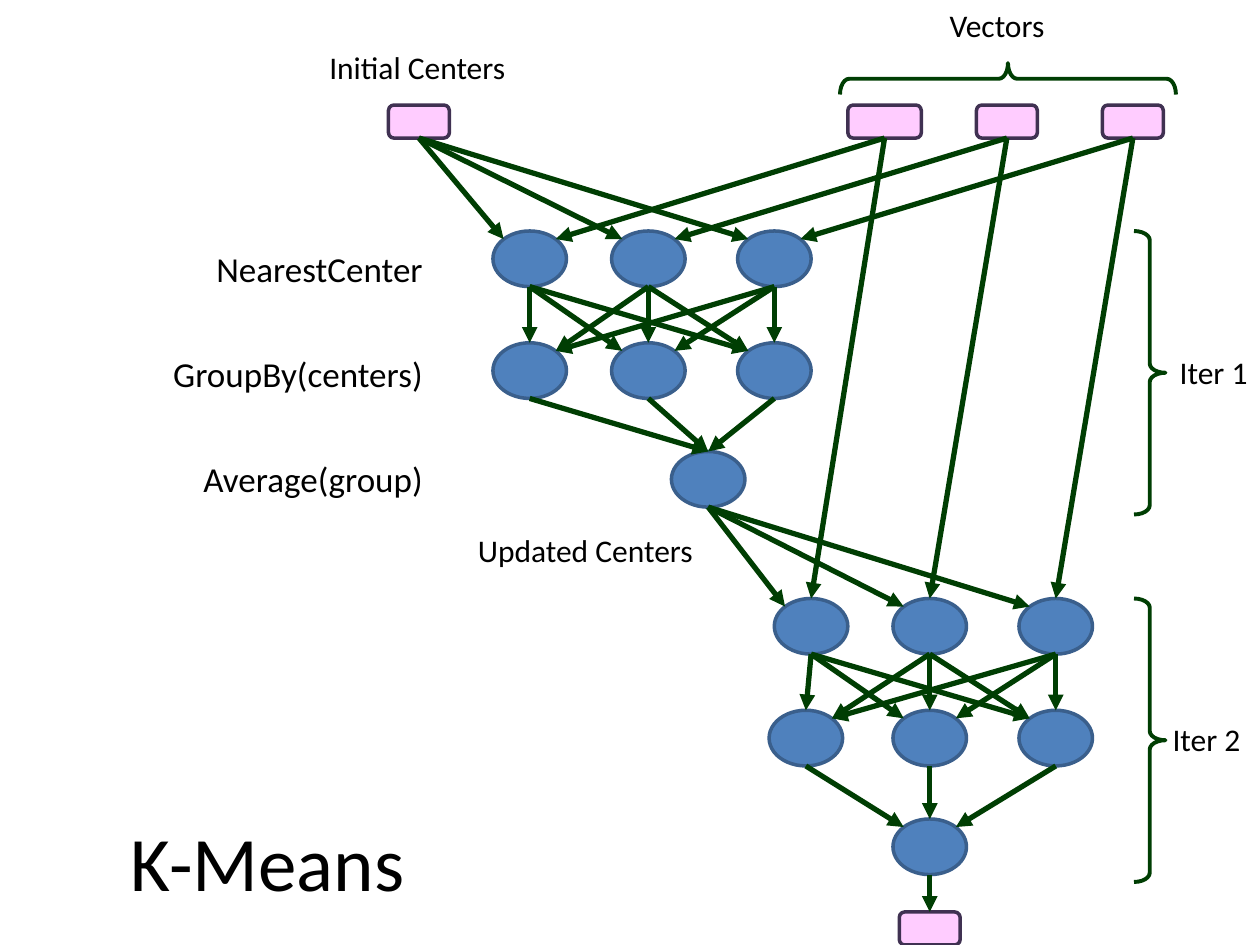
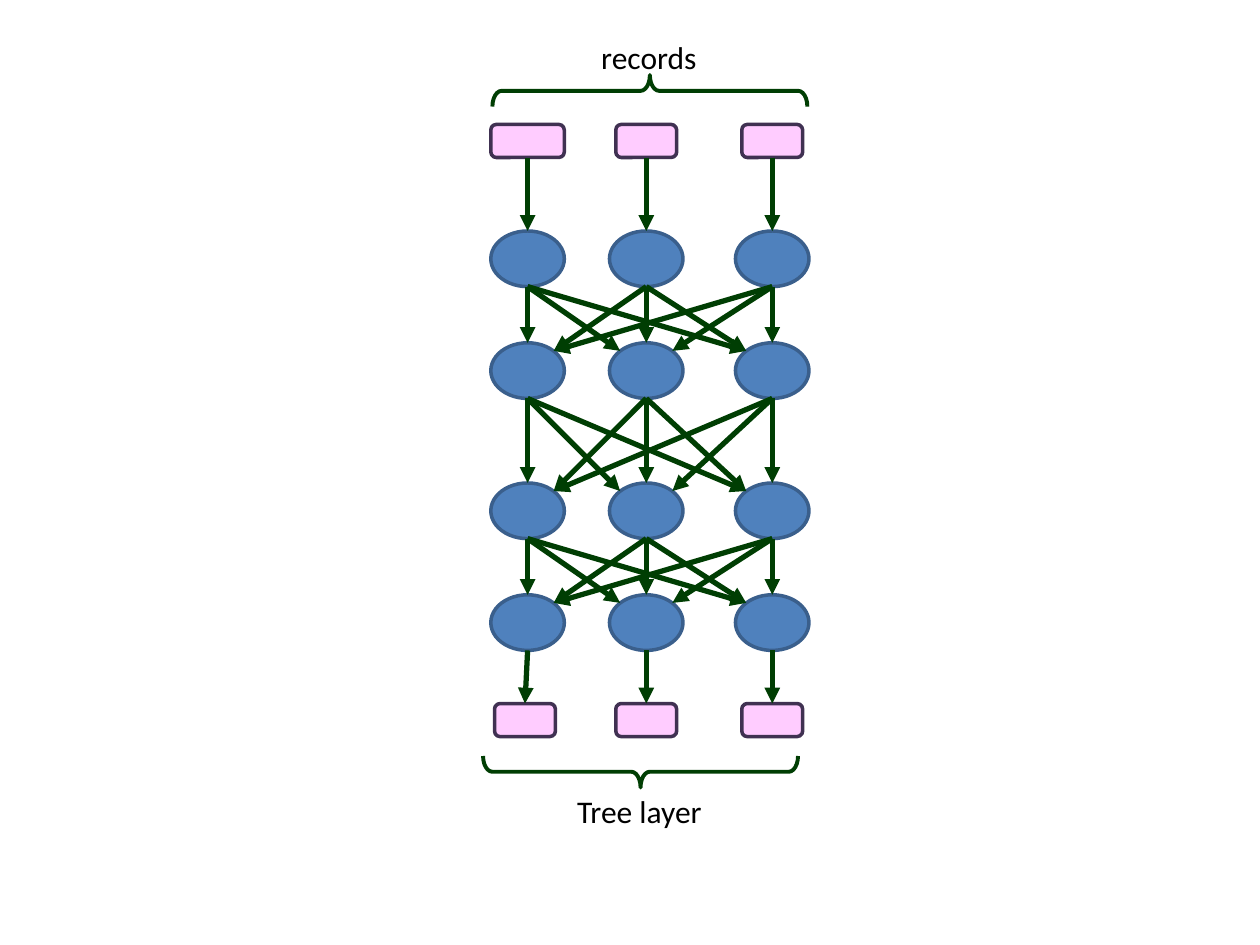
import itertools

import pptx
import pptx.dml.color
import pptx.enum.shapes
import pptx.enum.text
import pptx.oxml
import pptx.oxml.ns
import pptx.util

RGB = pptx.dml.color.RGBColor
KIND = pptx.enum.shapes.MSO_SHAPE
ALIGN = pptx.enum.text.PP_ALIGN

BLUE = RGB(0x4F, 0x81, 0xBD)
NAVY = RGB(0x3A, 0x5F, 0x8C)
PINK = RGB(0xFF, 0xCC, 0xFF)
PLUM = RGB(0x40, 0x31, 0x52)
GREEN = RGB(0x00, 0x3E, 0x03)
BLACK = RGB(0, 0, 0)
FONT = "Calibri"

# The slide is a grid of 120 columns by 90 rows; all lengths are in its cells.
CELL = pptx.util.Inches(10) // 120
NODE_W, NODE_H = 7, 5.3
FILE_W, FILE_H = 5.8, 3.15
STEPS = (0, 11.3, 23.3)
PITCH = 10.65
DIAG = 0.71


def cells(*sizes):
    return [round(size * CELL) for size in sizes]


def block(slide, kind, box, fill, line, width=2):
    shape = slide.shapes.add_shape(kind, *cells(*box))
    shape.shadow.inherit = False
    if fill is None:
        shape.fill.background()
    else:
        shape.fill.solid()
        shape.fill.fore_color.rgb = fill
    shape.line.color.rgb = line
    shape.line.width = pptx.util.Pt(width)
    return shape


def node(slide, mid, top):
    box = (mid - NODE_W / 2, top, NODE_W, NODE_H)
    return block(slide, KIND.OVAL, box, BLUE, NAVY)


def file(slide, mid, top, width=FILE_W):
    box = (mid - width / 2, top, width, FILE_H)
    return block(slide, KIND.ROUNDED_RECTANGLE, box, PINK, PLUM)


def layer(slide, left, top):
    """Draw a row of three nodes and return them."""
    return [node(slide, left + step, top) for step in STEPS]


def brace(slide, box, turn=0):
    """Fill the box with a brace whose tip points right before the turn."""
    left, top, width, height = box
    if turn:
        left, top = left + (width - height) / 2, top + (height - width) / 2
        width, height = height, width
    shape = block(slide, KIND.RIGHT_BRACE, (left, top, width, height),
                  None, GREEN, 2.25)
    shape.adjustments[0] = 0.292
    shape.rotation = turn


def arrow(slide, start, end, crown=False):
    """Link the foot of start to the top of end, or to its nearer shoulder."""
    x1, y1 = start.left + start.width // 2, start.top + start.height
    x2, y2 = end.left + end.width // 2, end.top
    if not crown and abs(x2 - x1) > 8 * CELL:
        side = 1 if x1 > x2 else -1
        x2 += round(side * DIAG * end.width / 2)
        y2 += round((1 - DIAG) * end.height / 2)
    line = slide.shapes.add_connector(
        pptx.enum.shapes.MSO_CONNECTOR.STRAIGHT, x1, y1, x2, y2)
    line.line.color.rgb = GREEN
    line.line.width = pptx.util.Pt(3)
    tail = pptx.oxml.ns.qn("a:tailEnd")
    line.line._get_or_add_ln().makeelement(tail)
    pen = line.line._get_or_add_ln()
    pen.append(pen.makeelement(tail, {"type": "triangle"}))
    props = line._element.spPr
    props.append(props.makeelement(pptx.oxml.ns.qn("a:effectLst")))


def pairs(slide, starts, ends):
    for start, end in zip(starts, ends):
        arrow(slide, start, end)


def mesh(slide, starts, ends, crown=False):
    for start, end in itertools.product(starts, ends):
        arrow(slide, start, end, crown)


def label(slide, text, box, size=18, align=ALIGN.CENTER, wrap=False):
    frame = slide.shapes.add_textbox(*cells(*box)).text_frame
    frame.word_wrap = wrap
    frame.text = text
    para = frame.paragraphs[0]
    para.alignment = align
    font = para.runs[0].font
    font.name, font.size = FONT, pptx.util.Pt(size)
    font.color.rgb = BLACK
    return frame


def round_trip(slide, left, top, shift, mean, crown):
    """Draw one iteration; return its first layer and its average node."""
    near = layer(slide, left, top)
    group = [node(slide, left + step + move, top + PITCH)
             for step, move in zip(STEPS, (shift, 0, 0))]
    average = node(slide, left + mean, top + 21)
    mesh(slide, near, group)
    mesh(slide, group, [average], crown)
    brace(slide, (108, top, 3, 27))
    return near, average


def steps(slide, right, top):
    """Name the stages of an iteration, flush right."""
    names = (("NearestCenter", 22.4), ("GroupBy(centers)", 26.4),
             ("Average(group)", 26))
    for i, (name, width) in enumerate(names):
        label(slide, name, (right - width, top + 10 * i, width, 5.3), 20,
              ALIGN.RIGHT)


def means(slide):
    label(slide, "Initial Centers", (30, 4, 19.5, 4.8))
    label(slide, "Vectors", (89.2, 0, 11.5, 4.8))
    brace(slide, (80, 6, 32, 3), 270)

    seed = file(slide, 39.9, 10)
    vectors = [file(slide, mid, 10, width) for mid, width in
               ((84.25, NODE_W), (95.9, FILE_W), (107.9, FILE_W))]
    first, centers = round_trip(slide, 50.45, 22, 0, 17, True)
    second, last = round_trip(slide, 77.25, 57, -0.5, STEPS[1], False)
    result = file(slide, 88.55, 86.85)

    mesh(slide, [seed], first)
    pairs(slide, vectors, first)
    mesh(slide, [centers], second)
    pairs(slide, vectors, second)
    arrow(slide, last, result)

    label(slide, "Iter 1", (111, 33, 9, 4.8), align=ALIGN.RIGHT)
    label(slide, "Iter 2 ", (110.4, 68, 9.6, 4.8), align=ALIGN.RIGHT)
    steps(slide, 41.45, 23)
    label(slide, "Updated Centers", (44.2, 50, 23.1, 4.8))
    title = label(slide, "K-Means", (2, 77, 47, 10), 44, wrap=True)
    title.vertical_anchor = pptx.enum.text.MSO_ANCHOR.MIDDLE


def tree(slide, left=50.25):
    label(slide, "records", (56, 3, 11.6, 4.8))
    brace(slide, (46.9, 7.15, 30, 3), 270)

    records = [file(slide, left + step, 11.85, width) for step, width in
               zip(STEPS, (NODE_W, FILE_W, FILE_W))]
    layers = [layer(slide, left, top + drop)
              for top in (22, 46) for drop in (0, PITCH)]
    leaves = [file(slide, left + step + move, 67)
              for step, move in zip(STEPS, (-0.25, 0, 0))]

    pairs(slide, records, layers[0])
    for upper, lower in zip(layers, layers[1:]):
        mesh(slide, upper, lower)
    pairs(slide, layers[-1], leaves)

    brace(slide, (46, 72, 30, 3), 90)
    label(slide, "Tree layer", (53.7, 74.8, 14.4, 4.8))


def main():
    deck = pptx.Presentation()
    deck.slide_width, deck.slide_height = cells(120, 90)
    for draw in (means, tree):
        draw(deck.slides.add_slide(deck.slide_layouts[6]))
    deck.save("out.pptx")


if __name__ == "__main__":
    main()
